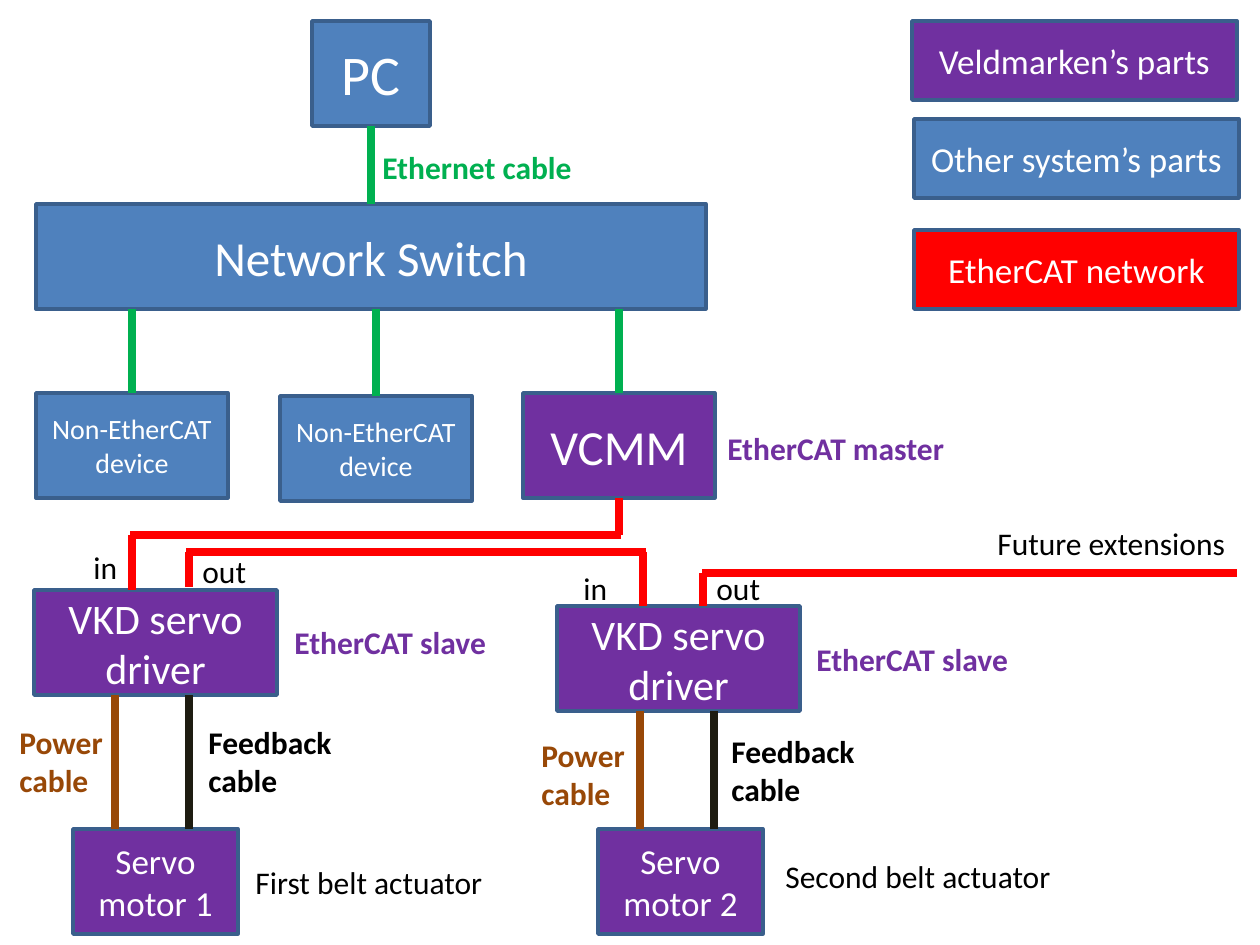
from dataclasses import dataclass
from typing import Optional

from lxml import etree
from pptx import Presentation
from pptx.dml.color import RGBColor
from pptx.enum.shapes import MSO_CONNECTOR, MSO_SHAPE
from pptx.enum.text import MSO_ANCHOR, MSO_AUTO_SIZE, PP_ALIGN
from pptx.oxml.ns import qn
from pptx.util import Emu, Pt

STRAIGHT, RECTANGLE = MSO_CONNECTOR.STRAIGHT, MSO_SHAPE.RECTANGLE
MIDDLE, TOP = MSO_ANCHOR.MIDDLE, MSO_ANCHOR.TOP
FIT, NO_FIT = MSO_AUTO_SIZE.SHAPE_TO_FIT_TEXT, MSO_AUTO_SIZE.NONE
CENTER, LEFT = PP_ALIGN.CENTER, PP_ALIGN.LEFT
TOP_SIDE, BOTTOM_SIDE = 0, 2
EMU_PER_PX = 914400 / 126


@dataclass(frozen=True)
class Theme:
    font: str = "Calibri"
    blue: str = "4F81BD"
    purple: str = "7030A0"
    red: str = "FF0000"
    green: str = "00B050"
    brown: str = "984807"
    dark: str = "1E1C11"
    black: str = "000000"
    white: str = "FFFFFF"
    border: str = "3A5F8C"
    border_width: float = 2
    cable_width: float = 4.5
    huge: int = 32
    large: int = 28
    driver: int = 24
    medium: int = 20
    label: int = 18
    small: int = 16


THEME = Theme()


@dataclass(frozen=True)
class Box:
    key: str
    text: str
    left: int
    top: int
    width: int
    height: int
    fill: str
    size: int


@dataclass(frozen=True)
class Label:
    text: str
    left: int
    top: int
    width: int
    color: str = THEME.black
    bold: bool = False


@dataclass(frozen=True)
class Cable:
    start: tuple[int, int]
    end: tuple[int, int]
    color: str
    source: Optional[str] = None
    target: Optional[str] = None


@dataclass(frozen=True)
class Station:
    number: int
    driver_left: int
    driver_top: int
    motor_left: int


def px(length: int) -> Emu:
    return Emu(round(length * EMU_PER_PX))


def write_text(frame, text: str, size: int, color: str, bold: bool, align, layout: dict) -> None:
    for name, value in layout.items():
        setattr(frame, name, value)
    for index, line in enumerate(text.split("\n")):
        para = frame.paragraphs[0] if index == 0 else frame.add_paragraph()
        para.alignment = align
        span = para.add_run()
        span.text = line
        for name, value in {"name": THEME.font, "size": Pt(size), "bold": bold}.items():
            setattr(span.font, name, value)
        span.font.color.rgb = RGBColor.from_string(color)


def draw_box(page, box: Box):
    shape = page.shapes.add_shape(
        RECTANGLE, px(box.left), px(box.top), px(box.width), px(box.height))
    shape.shadow.inherit = False
    shape.fill.solid()
    shape.fill.fore_color.rgb = RGBColor.from_string(box.fill)
    shape.line.color.rgb = RGBColor.from_string(THEME.border)
    shape.line.width = Pt(THEME.border_width)
    write_text(shape.text_frame, box.text, box.size, THEME.white, False, CENTER,
               {"word_wrap": True, "vertical_anchor": MIDDLE, "auto_size": NO_FIT})
    return shape


def draw_label(page, label: Label) -> None:
    height = 50 + 39 * label.text.count("\n")
    shape = page.shapes.add_textbox(
        px(label.left), px(label.top), px(label.width), px(height))
    write_text(shape.text_frame, label.text, THEME.label, label.color, label.bold, LEFT,
               {"word_wrap": False, "vertical_anchor": TOP, "auto_size": FIT})


def draw_cable(page, cable: Cable, shapes: dict) -> None:
    line = page.shapes.add_connector(
        STRAIGHT, *(px(value) for value in cable.start + cable.end))
    line.line.color.rgb = RGBColor.from_string(cable.color)
    line.line.width = Pt(THEME.cable_width)
    etree.SubElement(line._element.spPr, qn("a:effectLst"))
    if cable.source:
        line.begin_connect(shapes[cable.source], BOTTOM_SIDE)
    if cable.target:
        line.end_connect(shapes[cable.target], TOP_SIDE)


def station_boxes(station: Station) -> list[Box]:
    return [
        Box(f"driver {station.number}", "VKD servo driver", station.driver_left,
            station.driver_top, 243, 105, THEME.purple, THEME.driver),
        Box(f"motor {station.number}", f"Servo motor {station.number}", station.motor_left,
            829, 165, 105, THEME.purple, THEME.medium),
    ]


def station_cables(station: Station) -> list[Cable]:
    return [Cable((station.motor_left + shift, station.driver_top + 105),
                  (station.motor_left + shift, 829), color)
            for shift, color in ((42, THEME.brown), (116, THEME.dark))]


STATIONS = (Station(1, 34, 590, 73), Station(2, 557, 606, 598))

BOXES = [
    Box("pc", "PC", 312, 21, 118, 105, THEME.blue, THEME.huge),
    Box("switch", "Network Switch", 36, 204, 670, 105, THEME.blue, THEME.large),
    Box("device 1", "Non-EtherCAT device", 36, 393, 192, 105, THEME.blue, THEME.small),
    Box("device 2", "Non-EtherCAT device", 280, 396, 192, 105, THEME.blue, THEME.small),
    Box("master", "VCMM", 523, 393, 192, 105, THEME.purple, THEME.large),
    Box("maker", "Veldmarken’s parts", 912, 21, 325, 79, THEME.purple, THEME.medium),
    Box("other", "Other system’s parts", 914, 119, 325, 79, THEME.blue, THEME.medium),
    Box("network", "EtherCAT network", 914, 230, 325, 79, THEME.red, THEME.medium),
]

CABLES = [
    Cable((371, 126), (371, 204), THEME.green, "pc", "switch"),
    Cable((132, 309), (132, 393), THEME.green, target="device 1"),
    Cable((376, 309), (376, 396), THEME.green, target="device 2"),
    Cable((619, 309), (619, 393), THEME.green, target="master"),
    Cable((619, 498), (619, 535), THEME.red, source="master"),
    Cable((621, 535), (130, 535), THEME.red),
    Cable((132, 535), (132, 590), THEME.red),
    Cable((189, 552), (189, 587), THEME.red),
    Cable((646, 552), (186, 552), THEME.red),
    Cable((643, 552), (643, 606), THEME.red),
    Cable((703, 573), (703, 606), THEME.red),
    Cable((1237, 573), (702, 573), THEME.red),
]

LABELS = [
    Label("Ethernet cable", 370, 142, 215, THEME.green, True),
    Label("EtherCAT master", 715, 423, 243, THEME.purple, True),
    Label("EtherCAT slave", 282, 617, 218, THEME.purple, True),
    Label("EtherCAT slave", 804, 634, 218, THEME.purple, True),
    Label("in", 81, 542, 49),
    Label("out", 190, 546, 69),
    Label("in", 571, 563, 49),
    Label("out", 704, 563, 69),
    Label("First belt actuator", 243, 857, 260),
    Label("Second belt actuator", 773, 851, 299),
    Label("Future extensions", 985, 518, 253),
    Label("Power\ncable", 7, 717, 110, THEME.brown, True),
    Label("Feedback\ncable", 196, 717, 150, THEME.black, True),
    Label("Power\ncable", 529, 730, 110, THEME.brown, True),
    Label("Feedback\ncable", 719, 726, 150, THEME.black, True),
]


def main() -> None:
    deck = Presentation()
    deck.slide_width, deck.slide_height = px(1260), px(945)
    page = deck.slides.add_slide(deck.slide_layouts[6])
    boxes, cables = list(BOXES), list(CABLES)
    for station in STATIONS:
        boxes += station_boxes(station)
        cables += station_cables(station)
    shapes = {box.key: draw_box(page, box) for box in boxes}
    for cable in cables:
        draw_cable(page, cable, shapes)
    for label in LABELS:
        draw_label(page, label)
    deck.save("out.pptx")


if __name__ == "__main__":
    main()
